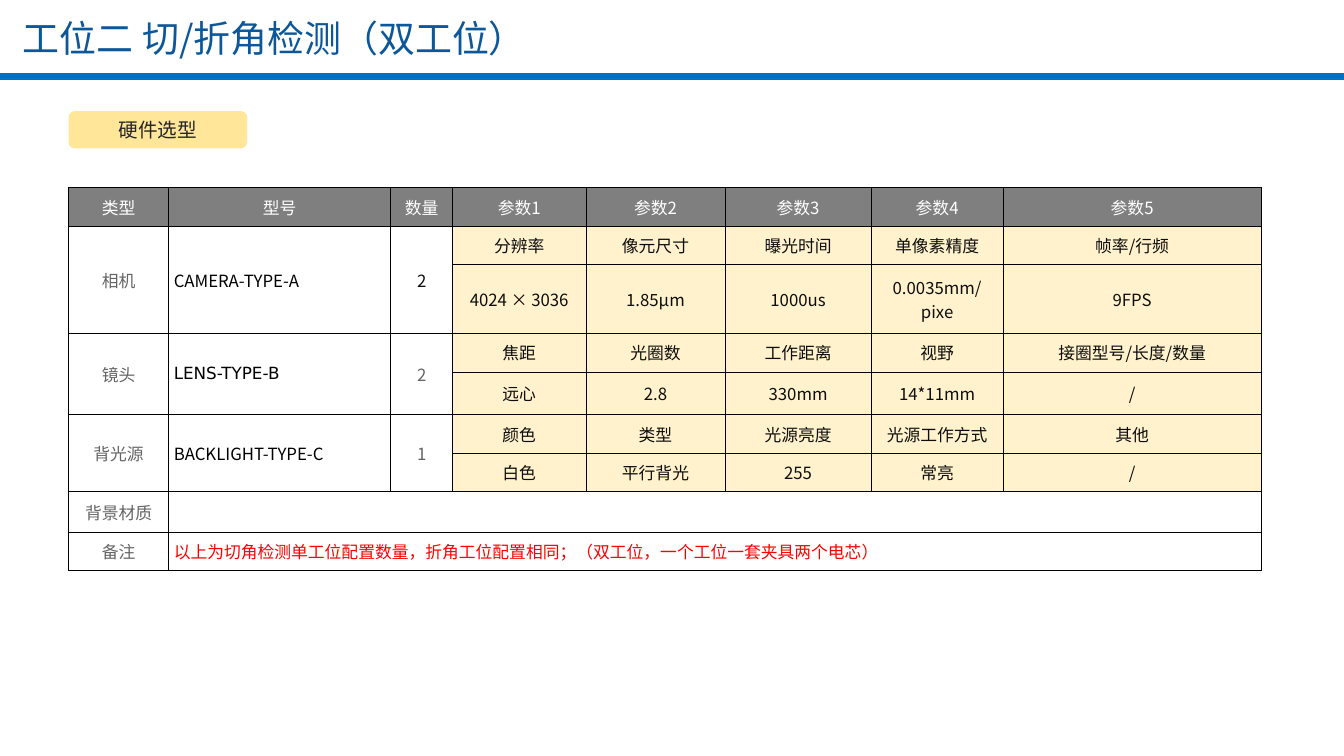
from lxml import etree
from pptx import Presentation
from pptx import util as u
from pptx.dml.color import RGBColor
from pptx.enum import shapes, text
from pptx.oxml.ns import qn

Cm, Pt = u.Cm, u.Pt
BLUE = RGBColor(0x00, 0x70, 0xC0)
NAVY = RGBColor(0x0C, 0x57, 0x99)
GOLD = RGBColor(0xFF, 0xE6, 0x99)
CREAM = RGBColor(0xFF, 0xF2, 0xCC)
GRAY = RGBColor(0x7F, 0x7F, 0x7F)
DIM = RGBColor(0x64, 0x64, 0x64)
DARK = RGBColor(0x26, 0x26, 0x26)
INK = RGBColor(0x0D, 0x0D, 0x0D)
BLACK = RGBColor(0, 0, 0)
WHITE = RGBColor(0xFF, 0xFF, 0xFF)
RED = RGBColor(0xFF, 0, 0)
SANS, MONO = "Noto Sans CJK SC", "DejaVu Sans"
MID = text.MSO_ANCHOR.MIDDLE
LEFT, CENTER = text.PP_ALIGN.LEFT, text.PP_ALIGN.CENTER

COLS = [2.52, 5.6, 1.56, 3.36, 3.51, 3.68, 3.33, 6.5]
ROWS = [0.97, 0.97, 1.73, 0.97, 1.08, 0.97, 0.97, 0.97, 0.97]
HEAD = ["类型", "型号", "数量"] + [f"参数{n}" for n in range(1, 6)]
# Part, model, model font, count, count colour, parameter names, values
PARTS = [
    ("相机", "CAMERA-TYPE-A", SANS, "2", INK,
     ["分辨率", "像元尺寸", "曝光时间", "单像素精度", "帧率/行频"],
     ["4024 × 3036", "1.85μm", "1000us", "0.0035mm/pixe", "9FPS"]),
    ("镜头", "LENS-TYPE-B", MONO, "2", DIM,
     ["焦距", "光圈数", "工作距离", "视野", "接圈型号/长度/数量"],
     ["远心", "2.8", "330mm", "14*11mm", "/"]),
    ("背光源", "BACKLIGHT-TYPE-C", SANS, "1", DIM,
     ["颜色", "类型", "光源亮度", "光源工作方式", "其他"],
     ["白色", "平行背光", "255", "常亮", "/"]),
]
NOTE = "以上为切角检测单工位配置数量，折角工位配置相同；（双工位，一个工位一套夹具两个电芯）"


def write(frame, words, size, color, align=CENTER, face=SANS):
    para = frame.paragraphs[0]
    para.text = words
    para.alignment = align
    font = para.font
    font.size, font.name = Pt(size), face
    font.color.rgb = color
    props = para._p.pPr.find(qn("a:defRPr"))
    etree.SubElement(props, qn("a:ea"), typeface=SANS)
    return para


def border(cell):
    props = cell._tc.get_or_add_tcPr()
    for i, side in enumerate("LRTB"):
        line = etree.Element(qn("a:ln" + side), w=str(Pt(0.45)))
        fill = etree.SubElement(line, qn("a:solidFill"))
        etree.SubElement(fill, qn("a:srgbClr"), val=str(BLACK))
        props.insert(i, line)


def title(slide, x, y, w, h):
    # Rule under the heading
    rule = slide.shapes.add_connector(
        shapes.MSO_CONNECTOR.STRAIGHT, Cm(0), Cm(y + 1.6), Cm(33.88), Cm(y + 1.6))
    rule.line.color.rgb = BLUE
    rule.line.width = Pt(4.75)
    etree.SubElement(rule._element.spPr, qn("a:effectLst"))
    # Heading
    box = slide.shapes.add_textbox(Cm(x), Cm(y), Cm(w), Cm(h))
    box.text_frame.word_wrap = True
    box.text_frame.vertical_anchor = MID
    para = write(box.text_frame, "工位二 切/折角检测（双工位）", 26.4, NAVY, LEFT)
    para.line_spacing = 0.8


def badge(slide, x, y, w, h):
    tag = slide.shapes.add_shape(
        shapes.MSO_SHAPE.ROUNDED_RECTANGLE, Cm(x), Cm(y), Cm(w), Cm(h))
    tag.shadow.inherit = False
    tag.fill.solid()
    tag.fill.fore_color.rgb = GOLD
    tag.line.fill.background()
    tag.text_frame.vertical_anchor = MID
    write(tag.text_frame, "硬件选型", 14, DARK)


def table(slide, x, y):
    grid = slide.shapes.add_table(
        len(ROWS), len(COLS), Cm(x), Cm(y), Cm(sum(COLS)), Cm(sum(ROWS))).table
    for col, wide in zip(grid.columns, COLS):
        col.width = Cm(wide)
    for row, high in zip(grid.rows, ROWS):
        row.height = Cm(high)

    # Fills, borders and margins
    for r in range(len(ROWS)):
        for c in range(len(COLS)):
            cell = grid.cell(r, c)
            cell.fill.solid()
            cell.fill.fore_color.rgb = (
                GRAY if r == 0 else CREAM if c > 2 and r < 7 else WHITE)
            border(cell)
            cell.vertical_anchor = MID
            pad = 0.25 if c == 0 else 0.33 if c > 3 and r == 2 else 0.13
            cell.margin_left = cell.margin_right = Cm(pad)

    def put(r, c, words, color, align=CENTER, face=SANS):
        write(grid.cell(r, c).text_frame, words, 12, color, align, face)

    # Header
    for c, words in enumerate(HEAD):
        put(0, c, words, WHITE)

    # Two rows for each part
    for i, (part, model, face, count, tint, names, vals) in enumerate(PARTS):
        r = 1 + 2 * i
        for c in range(3):
            grid.cell(r, c).merge(grid.cell(r + 1, c))
        put(r, 0, part, DIM)
        put(r, 1, model, BLACK, LEFT, face)
        put(r, 2, count, tint)
        for c, (name, val) in enumerate(zip(names, vals), 3):
            put(r, c, name, INK)
            put(r + 1, c, val, INK)

    # Background and remarks
    for r, words in ((7, "背景材质"), (8, "备注")):
        grid.cell(r, 1).merge(grid.cell(r, 7))
        put(r, 0, words, DIM)
    put(8, 1, NOTE, RED, LEFT)


def main():
    deck = Presentation()
    deck.slide_width, deck.slide_height = Cm(33.88), Cm(19.05)
    slide = deck.slides.add_slide(deck.slide_layouts[6])
    title(slide, 0.33, 0.33, 30.48, 1.47)
    badge(slide, 1.73, 2.8, 4.5, 0.94)
    table(slide, 1.73, 4.73)
    deck.save("out.pptx")


if __name__ == "__main__":
    main()
